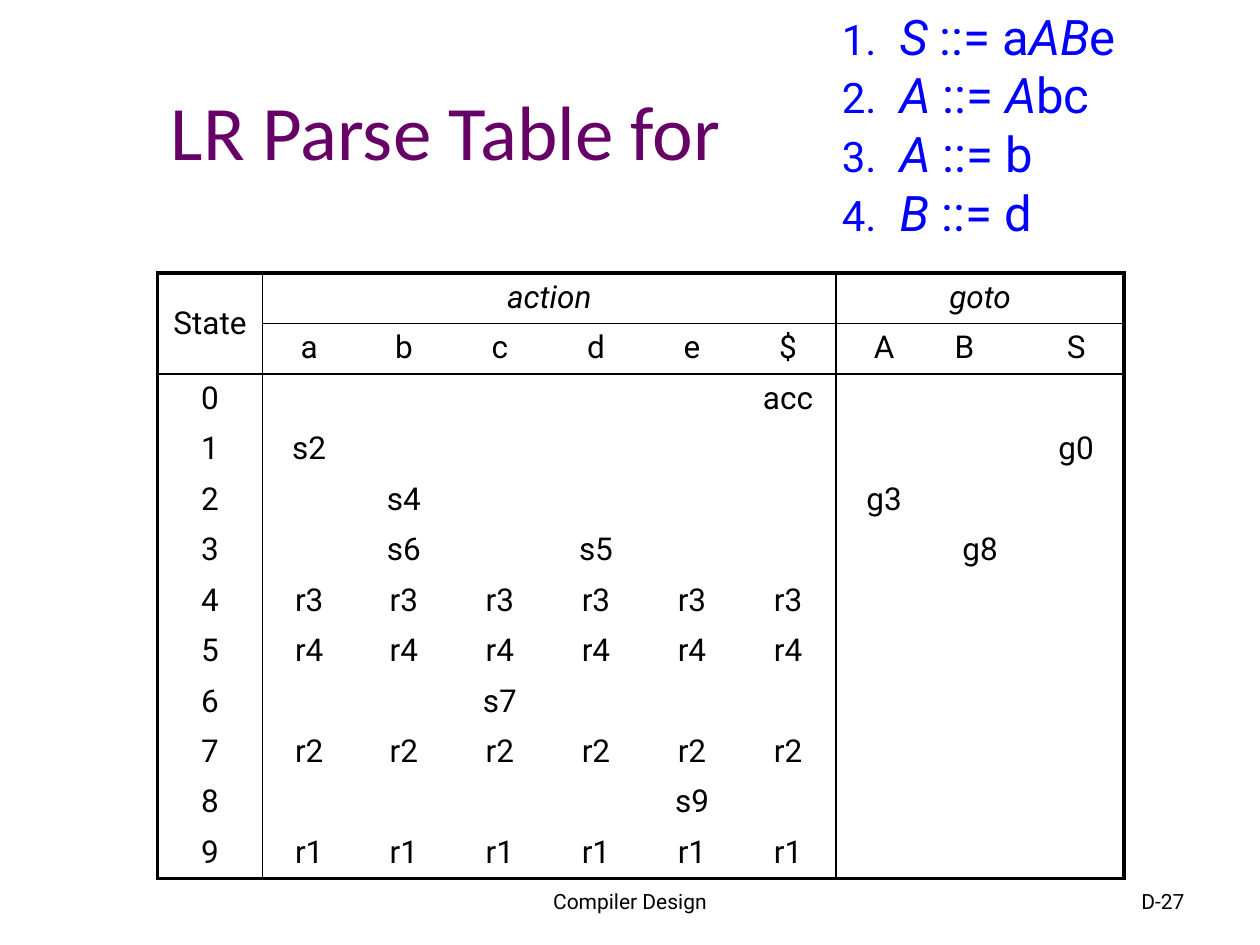
import pptx
import pptx.dml.color
import pptx.enum.text
import pptx.oxml.ns
import pptx.util
from lxml import etree

BLACK = pptx.dml.color.RGBColor(0x00, 0x00, 0x00)
BLUE = pptx.dml.color.RGBColor(0x00, 0x00, 0xFF)
PURPLE = pptx.dml.color.RGBColor(0x66, 0x00, 0x66)
ALIGN = pptx.enum.text.PP_ALIGN
ANCHOR = pptx.enum.text.MSO_ANCHOR

TERMINALS = ["a", "b", "c", "d", "e", "$"]
COLUMNS = TERMINALS + ["A", "B", "S"]
GOTO_COL = len(TERMINALS) + 1
STATES = [
    {"$": "acc"},
    {"a": "s2", "S": "g0"},
    {"b": "s4", "A": "g3"},
    {"b": "s6", "d": "s5", "B": "g8"},
    dict.fromkeys(TERMINALS, "r3"),
    dict.fromkeys(TERMINALS, "r4"),
    {"c": "s7"},
    dict.fromkeys(TERMINALS, "r2"),
    {"e": "s9"},
    dict.fromkeys(TERMINALS, "r1"),
]
# Each production is a list of pieces; nonterminals are upper case.
PRODUCTIONS = [
    ["S", " ::= a", "AB", "e"],
    ["A", " ::= ", "A", "bc"],
    ["A", " ::= b"],
    ["B", " ::= d"],
]
THIN, THICK = 1, 2.25


def unit(n):
    """Length of n grid units; the slide is 120 columns by 90 rows."""
    return pptx.util.Inches(n / 12)


class Deck:
    """Holds the style and the current slide."""

    body_font = "Roboto"
    title_font = "Calibri"

    def __init__(self):
        """Start a deck with one blank slide."""
        self.prs = pptx.Presentation()
        self.prs.slide_width, self.prs.slide_height = unit(120), unit(90)
        self.slide = self.prs.slides.add_slide(self.prs.slide_layouts[6])

    def style(self, r, size, color=BLACK, font=None, italic=False):
        """Format one run."""
        r.font.name = font or self.body_font
        r.font.size = pptx.util.Pt(size)
        r.font.color.rgb = color
        r.font.italic = italic

    def box(self, x, y, w, h, anchor=ANCHOR.MIDDLE):
        """Add an empty wrapping text box and return its text frame."""
        sp = self.slide.shapes.add_textbox(unit(x), unit(y), unit(w), unit(h))
        tf = sp.text_frame
        tf.word_wrap = True
        tf.vertical_anchor = anchor
        return tf

    def label(self, text, x, y, w, h, size, align=ALIGN.LEFT, **look):
        """Add a one-line text."""
        p = self.box(x, y, w, h).paragraphs[0]
        p.text = text
        p.alignment = align
        self.style(p.runs[0], size, **look)

    def grammar(self, productions, x, y, w, h, indent):
        """Add numbered productions with a hanging indent."""
        tf = self.box(x, y, w, h, ANCHOR.TOP)
        for i, pieces in enumerate(productions):
            p = tf.add_paragraph() if i else tf.paragraphs[0]
            pPr = p._p.get_or_add_pPr()
            pPr.set("marL", str(unit(indent)))
            pPr.set("indent", str(-unit(indent)))
            r = p.add_run()
            r.text = f"{i + 1}.\t"
            self.style(r, 24, BLUE)
            for piece in pieces:
                r = p.add_run()
                r.text = piece
                self.style(r, 28, BLUE, italic=piece.isupper())

    def table(self, x, y, widths, row_height, n_rows):
        """Add a plain table with no style bands."""
        sp = self.slide.shapes.add_table(
            n_rows, len(widths), unit(x), unit(y),
            unit(sum(widths)), unit(row_height * n_rows))
        tbl = sp.table
        tbl.first_row = tbl.horz_banding = False
        for col, width in zip(tbl.columns, widths):
            col.width = unit(width)
        for row in tbl.rows:
            row.height = unit(row_height)
        return tbl

    def cell(self, tbl, row, col, text, italic=False):
        """Write centred text in a cell."""
        p = tbl.cell(row, col).text_frame.paragraphs[0]
        p.text = text
        p.alignment = ALIGN.CENTER
        self.style(p.runs[0], 18, italic=italic)

    def rule_cells(self, tbl, v_rules, h_rules):
        """Draw the rules given by column and row edge; clear all others."""
        for row in range(len(tbl.rows)):
            for col in range(len(tbl.columns)):
                cell = tbl.cell(row, col)
                cell.fill.background()
                if cell.is_spanned:
                    continue
                right, bottom = col + 1, row + 1
                if cell.is_merge_origin:
                    right, bottom = col + cell.span_width, row + cell.span_height
                edges = {"lnL": v_rules.get(col), "lnR": v_rules.get(right),
                         "lnT": h_rules.get(row), "lnB": h_rules.get(bottom)}
                for i, (tag, width) in enumerate(edges.items()):
                    cell._tc.get_or_add_tcPr().insert(i, self.border(tag, width))

    def border(self, tag, width):
        """Make one cell border; no width means no line."""
        qn = pptx.oxml.ns.qn
        ln = etree.Element(qn("a:" + tag))
        if width is None:
            etree.SubElement(ln, qn("a:noFill"))
        else:
            ln.set("w", str(pptx.util.Pt(width)))
            fill = etree.SubElement(ln, qn("a:solidFill"))
            etree.SubElement(fill, qn("a:srgbClr")).set("val", str(BLACK))
        return ln


def parse_table(deck):
    """Build the action and goto table."""
    n_rows, last = len(STATES) + 2, len(COLUMNS)
    tbl = deck.table(15, 26, [10, 8.9] + [9.15] * (last - 1), 4.8, n_rows)
    tbl.cell(0, 0).merge(tbl.cell(1, 0))
    tbl.cell(0, 1).merge(tbl.cell(0, GOTO_COL - 1))
    tbl.cell(0, GOTO_COL).merge(tbl.cell(0, last))
    deck.cell(tbl, 0, 0, "State")
    tbl.cell(0, 0).vertical_anchor = ANCHOR.MIDDLE
    deck.cell(tbl, 0, 1, "action", italic=True)
    deck.cell(tbl, 0, GOTO_COL, "goto", italic=True)
    for col, symbol in enumerate(COLUMNS, 1):
        deck.cell(tbl, 1, col, symbol)
    tbl.cell(1, COLUMNS.index("B") + 1).margin_right = unit(4.2)
    for state, entries in enumerate(STATES):
        deck.cell(tbl, state + 2, 0, str(state))
        for symbol, entry in entries.items():
            deck.cell(tbl, state + 2, COLUMNS.index(symbol) + 1, entry)
    deck.rule_cells(tbl, {0: THICK, 1: THIN, GOTO_COL: THIN, last + 1: THICK},
                    {0: THICK, 1: THIN, 2: THIN, n_rows: THICK})


def main():
    """Build and save the slide."""
    deck = Deck()
    deck.label("LR Parse Table for", 15.1, 2.8, 102.2, 19.2, 44,
               color=PURPLE, font=deck.title_font)
    parse_table(deck)
    deck.label("Compiler Design", 41, 83.4, 38, 4.8, 12, ALIGN.CENTER)
    deck.label("D-27", 86, 83.4, 28, 4.8, 12, ALIGN.RIGHT)
    deck.grammar(PRODUCTIONS, 79, 0, 37, 23.6, indent=5.5)
    deck.prs.save("out.pptx")


main()
